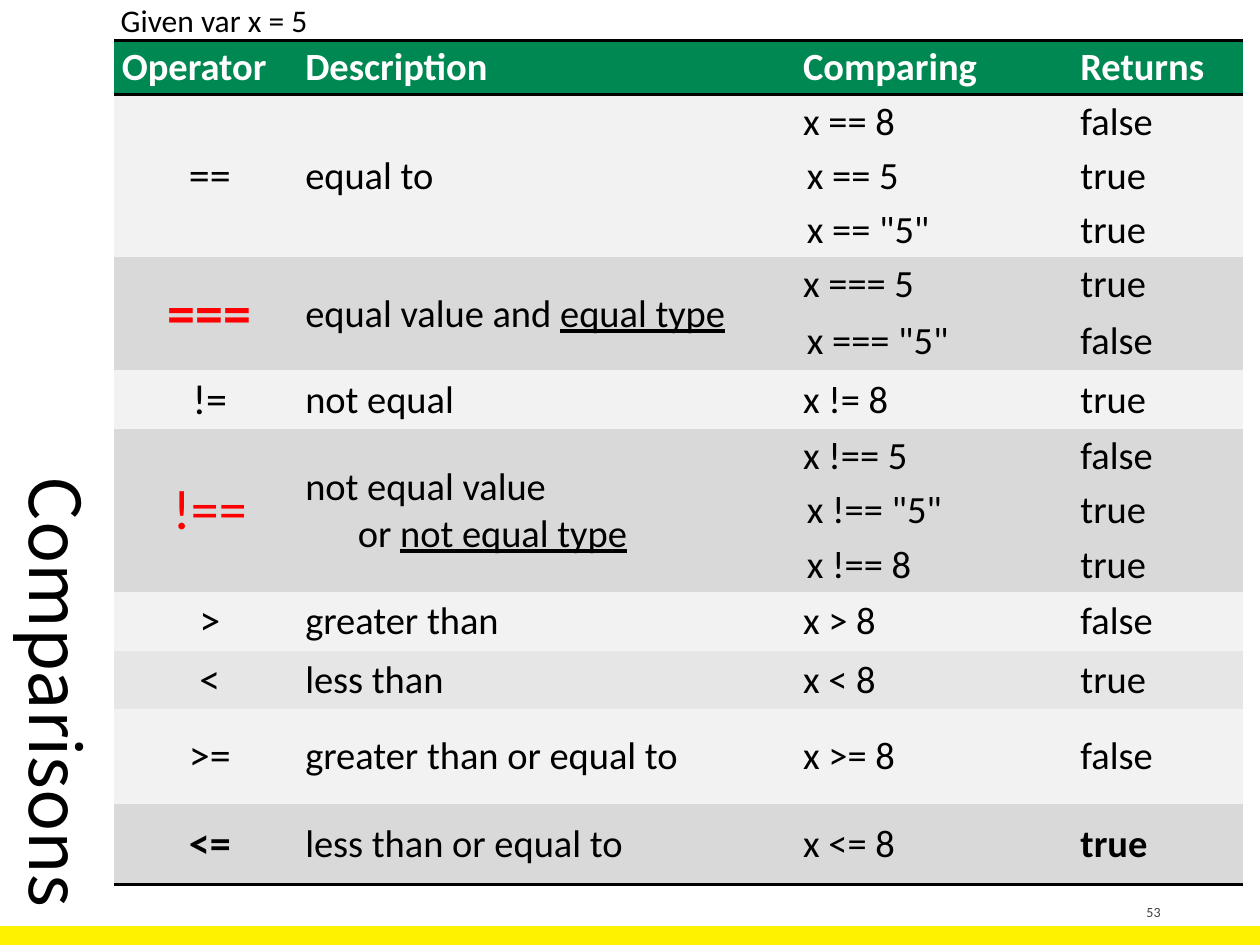
from lxml import etree
from pptx import Presentation
from pptx.dml.color import RGBColor
from pptx.enum.shapes import MSO_SHAPE
from pptx.enum.text import MSO_ANCHOR, PP_ALIGN
from pptx.oxml.ns import qn
from pptx.util import Pt

RECTANGLE = MSO_SHAPE.RECTANGLE
TOP, MIDDLE, BOTTOM = MSO_ANCHOR.TOP, MSO_ANCHOR.MIDDLE, MSO_ANCHOR.BOTTOM
LEFT, CENTER, RIGHT = PP_ALIGN.LEFT, PP_ALIGN.CENTER, PP_ALIGN.RIGHT

BODY_FONT, TITLE_FONT = "Calibri", "Noto Sans CJK JP"
BLACK, WHITE, RED, GREEN = "000000", "FFFFFF", "FF0000", "008852"
LIGHT, MID, DARK = "F2F2F2", "E7E6E6", "D9D9D9"
PLAIN_TABLE_STYLE = "{2D5ABB26-0587-4C30-8999-92F81FD0307C}"

HEADINGS = ["Operator", "Description", "Comparing", "Returns"]
COLUMN_WIDTHS = [107, 284.5, 158.5, 95]
HEADER_HEIGHT = 31.2
OR_INDENT = 30

# operator, operator style, description lines as (plain, underlined),
# comparisons as (expression, result, row height), band colour
OPERATORS = [
    ("==", {}, [("equal to", "")],
     [("x == 8", "false", 31), ("x == 5", "true", 31),
      ('x == "5"', "true", 31)], LIGHT),
    ("===", {"size": 32, "color": RED, "bold": True},
     [("equal value and ", "equal type")],
     [("x === 5", "true", 31), ('x === "5"', "false", 33.6)], DARK),
    ("!=", {}, [("not equal", "")], [("x != 8", "true", 33.6)], LIGHT),
    ("!==", {"size": 32, "color": RED},
     [("not equal value", ""), ("or ", "not equal type")],
     [("x !== 5", "false", 31), ('x !== "5"', "true", 31),
      ("x !== 8", "true", 31)], DARK),
    (">", {}, [("greater than", "")], [("x > 8", "false", 33.6)], LIGHT),
    ("<", {}, [("less than", "")], [("x < 8", "true", 33.6)], MID),
    (">=", {}, [("greater than or equal to", "")],
     [("x >= 8", "false", 54)], LIGHT),
    ("<=", {"bold": True}, [("less than or equal to", "")],
     [("x <= 8", "true", 46)], DARK),
]


def rgb(color):
    return RGBColor.from_string(color)


def style_run(run, size=22, color=BLACK, bold=False, font=BODY_FONT):
    run.font.size = Pt(size)
    run.font.name = font
    run.font.bold = bold
    run.font.color.rgb = rgb(color)


def add_text(slide, box, text, align=LEFT, anchor=TOP, wrap=True, **style):
    label = slide.shapes.add_textbox(*map(Pt, box))
    frame = label.text_frame
    frame.word_wrap = wrap
    frame.vertical_anchor = anchor
    frame.text = text
    frame.paragraphs[0].alignment = align
    style_run(frame.paragraphs[0].runs[0], **style)
    return label


def add_rule(cell, side):
    """Draw a 2 pt black border; side is T or B."""
    border = etree.SubElement(cell._tc.get_or_add_tcPr(), qn(f"a:ln{side}"),
                              w=str(Pt(2)))
    fill = etree.SubElement(border, qn("a:solidFill"))
    etree.SubElement(fill, qn("a:srgbClr"), val=BLACK)


def format_cell(cell, fill, rules="", left=2.16, anchor=MIDDLE):
    cell.margin_left = Pt(left)
    cell.margin_right = cell.margin_top = cell.margin_bottom = Pt(2.16)
    cell.vertical_anchor = anchor
    for side in rules:
        add_rule(cell, side)
    cell.fill.solid()
    cell.fill.fore_color.rgb = rgb(fill)


def write_cell(cell, text, align=LEFT, **style):
    cell.text = text
    paragraph = cell.text_frame.paragraphs[0]
    paragraph.alignment = align
    style_run(paragraph.runs[0], **style)


def write_description(cell, lines):
    frame = cell.text_frame
    for index, (plain, underlined) in enumerate(lines):
        paragraph = frame.add_paragraph() if index else frame.paragraphs[0]
        if index:
            paragraph._p.get_or_add_pPr().set("marL", str(Pt(OR_INDENT)))
        for text in filter(None, (plain, underlined)):
            run = paragraph.add_run()
            run.text = text
            style_run(run)
            run.font.underline = text == underlined


def add_operator_table(slide, box):
    heights = [HEADER_HEIGHT] + [height for operator in OPERATORS
                                 for *_, height in operator[3]]
    table = slide.shapes.add_table(len(heights), len(HEADINGS),
                                   *map(Pt, box)).table
    table.first_row = table.horz_banding = False
    table._tbl.tblPr.find(qn("a:tableStyleId")).text = PLAIN_TABLE_STYLE
    for column, width in zip(table.columns, COLUMN_WIDTHS):
        column.width = Pt(width)
    for row, height in zip(table.rows, heights):
        row.height = Pt(height)

    for column, heading in enumerate(HEADINGS):
        cell = table.cell(0, column)
        format_cell(cell, GREEN, "TB", 2.16 if column else 4.32, TOP)
        write_cell(cell, heading, color=WHITE, bold=True)

    first = 1
    for symbol, style, description, comparisons, band in OPERATORS:
        last = first + len(comparisons) - 1
        final = last == len(heights) - 1
        for row, (expression, result, _) in enumerate(comparisons, first):
            lefts = [4.32, 2.16, 2.16 if row == first else 4.32, 2.16]
            for column, left in enumerate(lefts):
                format_cell(table.cell(row, column), band,
                            "B" if final else "", left)
            write_cell(table.cell(row, 2), expression)
            write_cell(table.cell(row, 3), result, bold=final)
        if last > first:
            for column in (0, 1):
                table.cell(first, column).merge(table.cell(last, column))
        write_cell(table.cell(first, 0), symbol, CENTER,
                   **{"size": 24, **style})
        write_description(table.cell(first, 1), description)
        first = last + 1


def add_footer(slide, box):
    left, top, width, height = box
    band = slide.shapes.add_shape(RECTANGLE, *map(Pt, box))
    band.shadow.inherit = False
    band.fill.solid()
    band.fill.fore_color.rgb = rgb("FFF200")
    band.line.fill.background()
    add_text(slide, (left + 512.64, top - 28.8, 157.68, 28.8), "53",
             RIGHT, BOTTOM, size=8, color="404040")


def add_side_title(slide, box):
    title = add_text(slide, box, "Comparisons", anchor=MIDDLE,
                     size=40, font=TITLE_FONT)
    title.rotation = 90
    title.text_frame.paragraphs[0].line_spacing = 0.9


def main():
    deck = Presentation()
    deck.slide_width, deck.slide_height = Pt(720), Pt(540)
    slide = deck.slides.add_slide(deck.slide_layouts[6])
    add_footer(slide, (0, 529.2, 720, 12.24))
    add_side_title(slide, (-102.96, 365.04, 264.96, 65.52))
    add_operator_table(slide, (65.3, 23, 645, 482))
    add_text(slide, (61.92, -2.88, 137.52, 28.8), "Given var x = 5",
             wrap=False, size=18)
    deck.save("out.pptx")


if __name__ == "__main__":
    main()
